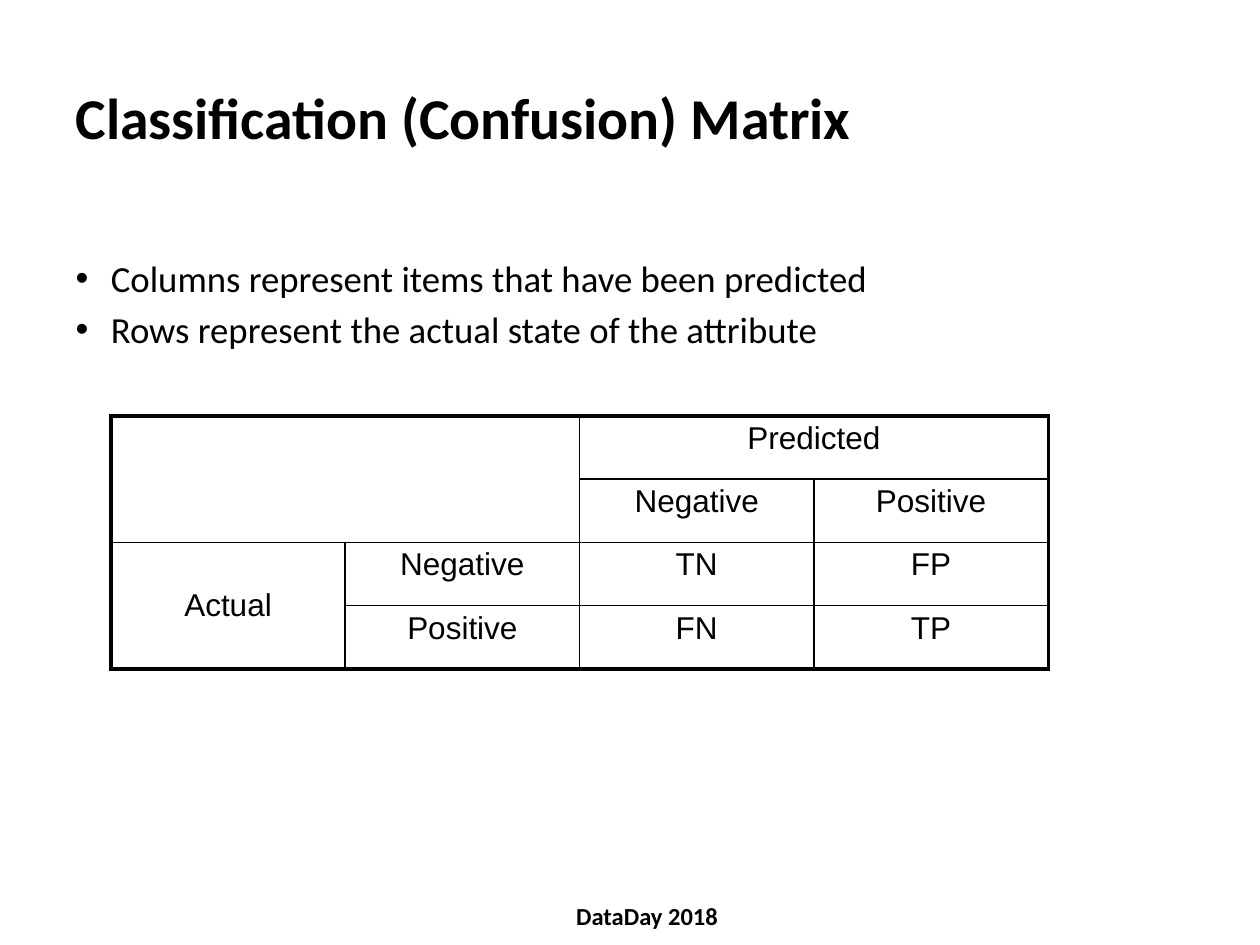
from lxml import etree
from pptx import Presentation
from pptx.dml.color import RGBColor
from pptx.enum.text import MSO_ANCHOR, MSO_AUTO_SIZE, PP_ALIGN
from pptx.oxml.ns import qn
from pptx.util import Inches, Pt

LEFT, CENTER = PP_ALIGN.LEFT, PP_ALIGN.CENTER
TOP, MIDDLE = MSO_ANCHOR.TOP, MSO_ANCHOR.MIDDLE
NO_FIT = MSO_AUTO_SIZE.NONE

# Content
TITLE = "Classification (Confusion) Matrix"
BULLETS = [
    "Columns represent items that have been predicted",
    "Rows represent the actual state of the attribute",
]
FOOTER = "DataDay 2018"
# Matrix blocks: row, column, rows spanned, columns spanned, text
MATRIX = [
    (0, 0, 2, 2, ""),
    (0, 2, 1, 2, "Predicted"),
    (1, 2, 1, 1, "Negative"),
    (1, 3, 1, 1, "Positive"),
    (2, 0, 2, 1, "Actual"),
    (2, 1, 1, 1, "Negative"),
    (2, 2, 1, 1, "TN"),
    (2, 3, 1, 1, "FP"),
    (3, 1, 1, 1, "Positive"),
    (3, 2, 1, 1, "FN"),
    (3, 3, 1, 1, "TP"),
]

# Layout in inches: left, top, width, height
TITLE_AT = (0.5, 0.3, 9, 1.25)
BODY_AT = (0.5, 1.98, 9, 1.15)
MATRIX_AT = (0.88, 3.3, 7.44, 2.01)
FOOTER_AT = (2.19, 7.06, 5.89, 0.42)
GRID = 4
INDENT = 0.28
OUTER, INNER = 2.25, 1
INK = "000000"


def color(value):
    return RGBColor.from_string(value)


def place(shape, at):
    shape.left, shape.top, shape.width, shape.height = map(Inches, at)


def write(para, text, size, font="Calibri", bold=False, align=LEFT):
    para.alignment = align
    span = para.add_run()
    span.text = text
    span.font.size = Pt(size)
    span.font.name = font
    span.font.bold = bold
    span.font.color.rgb = color(INK)


def draw_border(cell, side, points):
    line = etree.SubElement(cell._tc.get_or_add_tcPr(), qn("a:ln" + side),
                            w=str(Pt(points)))
    fill = etree.SubElement(line, qn("a:solidFill"))
    etree.SubElement(fill, qn("a:srgbClr"), val=INK)


def add_text(page):
    title = page.shapes.title
    place(title, TITLE_AT)
    title.text_frame.auto_size = NO_FIT
    title.text_frame.vertical_anchor = MIDDLE
    write(title.text_frame.paragraphs[0], TITLE, 33, bold=True)

    body = page.placeholders[1]
    place(body, BODY_AT)
    frame = body.text_frame
    frame.auto_size = NO_FIT
    for index, text in enumerate(BULLETS):
        para = frame.add_paragraph() if index else frame.paragraphs[0]
        write(para, text, 21)
        properties = para._p.get_or_add_pPr()
        properties.set("marL", str(Inches(INDENT)))
        properties.set("indent", str(-Inches(INDENT)))

    footer = page.shapes.add_textbox(*map(Inches, FOOTER_AT)).text_frame
    footer.word_wrap = True
    footer.vertical_anchor = MIDDLE
    write(footer.paragraphs[0], FOOTER, 14, bold=True, align=CENTER)


def add_matrix(page):
    table = page.shapes.add_table(GRID, GRID, *map(Inches, MATRIX_AT)).table
    table.first_row = table.horz_banding = False

    for top, left, height, width, text in MATRIX:
        bottom, right = top + height - 1, left + width - 1
        # Heavy lines on the rim of the matrix, thin ones inside
        weights = {
            "L": OUTER if left == 0 else INNER,
            "R": OUTER if right == GRID - 1 else INNER,
            "T": OUTER if top == 0 else INNER,
            "B": OUTER if bottom == GRID - 1 else INNER,
        }
        for row in range(top, bottom + 1):
            for column in range(left, right + 1):
                cell = table.cell(row, column)
                is_origin = (row, column) == (top, left)
                on_edge = {"L": column == left, "R": column == right,
                           "T": row == top, "B": row == bottom}
                for side, points in weights.items():
                    if is_origin or on_edge[side]:
                        draw_border(cell, side, points)
                cell.fill.background()

        cell = table.cell(top, left)
        if height * width > 1:
            cell.merge(table.cell(bottom, right))
        cell.margin_top = cell.margin_bottom = Inches(0.04)
        cell.vertical_anchor = MIDDLE if text and height > 1 else TOP
        if text:
            write(cell.text_frame.paragraphs[0], text, 18, "Arial", align=CENTER)


def main():
    deck = Presentation()
    deck.slide_width, deck.slide_height = Inches(10), Inches(7.5)
    page = deck.slides.add_slide(deck.slide_layouts[1])
    add_text(page)
    add_matrix(page)
    deck.save("out.pptx")


if __name__ == "__main__":
    main()
